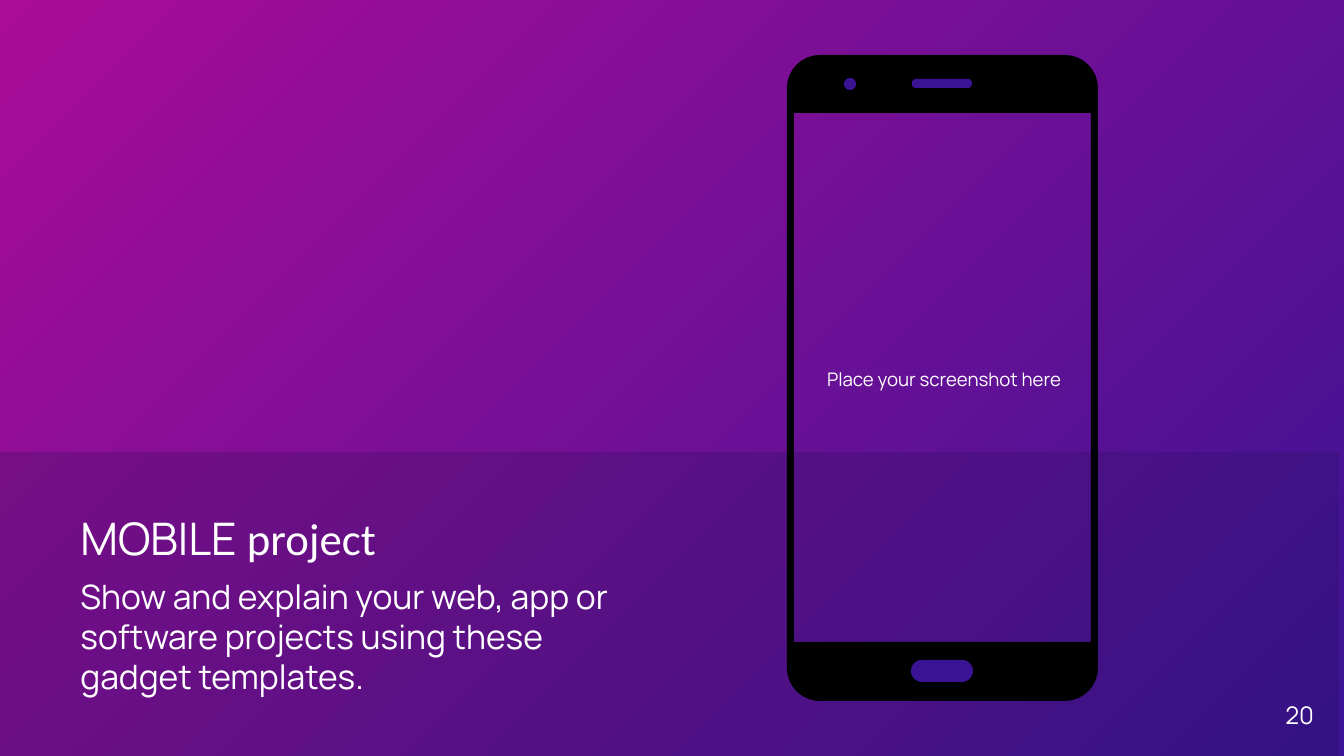
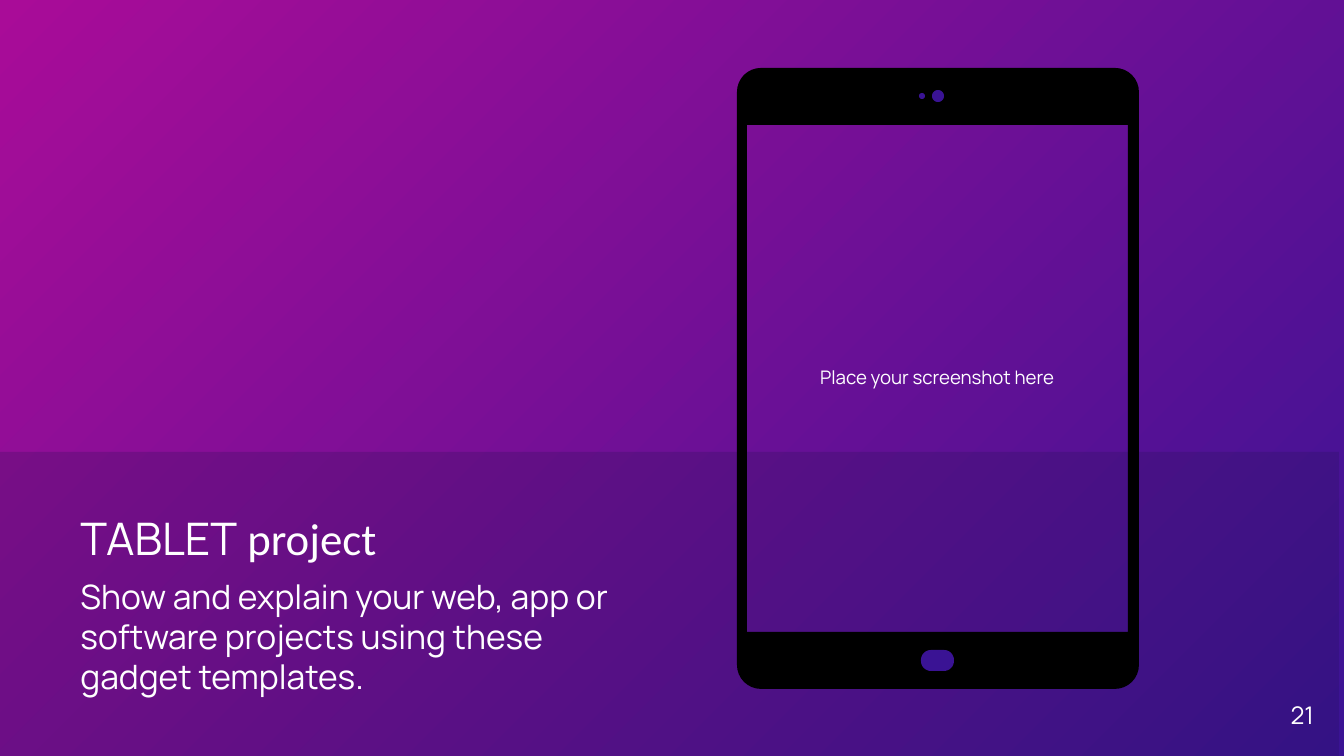
from math import cos, pi, sin

from lxml.etree import SubElement
from pptx import Presentation
from pptx.dml.color import RGBColor
from pptx.enum.shapes import MSO_SHAPE
from pptx.enum.text import MSO_ANCHOR as ANCHOR, MSO_AUTO_SIZE, PP_ALIGN as ALIGN
from pptx.oxml.ns import qn
from pptx.util import Pt

PX = 914400 / 134.4
MAGENTA = RGBColor(0xA9, 0x0C, 0x98)
VIOLET = RGBColor(0x3A, 0x13, 0x94)
NAVY = RGBColor(0x20, 0x12, 0x4D)
BLACK = RGBColor(0, 0, 0)
WHITE = RGBColor(0xFF, 0xFF, 0xFF)
FONT, ACCENT_FONT = "Manrope", "Calibri"

# Boxes are (left, top, width, height) in px
SLIDE_W, SLIDE_H = 1344, 756
BAND = (0, 452, 1339, 304)
BODY = (67, 497, 604, 227)
NUMBER = (1246, 687, 81, 58)
DESCRIPTION = ("Show and explain your web, app or software projects "
               "using these gadget templates.")
PROMPT = "Place your screenshot here"

# Each detail is a box and its corner radius
SLIDES = [
    dict(name="MOBILE", number="20", label=(796, 116, 296, 526),
         case=(787, 55, 311, 646), radius=33, screen=(794, 113, 297, 529),
         details=[((911, 660, 62, 22), 11),    # home button
                  ((844, 78, 12, 12), 6),      # camera
                  ((912, 79, 60, 9), 4)]),     # speaker
    dict(name="TABLET", number="21", label=(746, 125, 382, 505),
         case=(737, 68, 402, 621), radius=24, screen=(747, 125, 381, 507),
         details=[((921, 650, 33, 21), 10),    # home button
                  ((919, 93, 6, 6), 3),        # sensor
                  ((932, 90, 12, 12), 6)]),    # camera
]


def emu(values):
    return [round(v * PX) for v in values]


def place(sp, box):
    sp.left, sp.top, sp.width, sp.height = emu(box)


def write(p, text, size, font=FONT, align=None, before=None):
    """Add a formatted run to paragraph p."""
    r = p.add_run()
    r.text = text
    r.font.size, r.font.name, r.font.color.rgb = Pt(size), font, WHITE
    if align is not None:
        p.alignment = align
    if before is not None:
        p.space_before = Pt(before)


def set_frame(tf, anchor=ANCHOR.TOP):
    tf.word_wrap = True
    tf.auto_size = MSO_AUTO_SIZE.NONE
    tf.vertical_anchor = anchor
    tf.margin_left = tf.margin_right = tf.margin_top = tf.margin_bottom = Pt(7.2)


def add_text(s, box, text, size, align, anchor=ANCHOR.TOP):
    tf = s.shapes.add_textbox(*emu(box)).text_frame
    set_frame(tf, anchor)
    write(tf.paragraphs[0], text, size, align=align)


def rounded(box, radius, steps=8):
    """Points of a rounded rectangle, clockwise from the left side."""
    x, y, w, h = box
    centres = [(x + radius, y + radius), (x + w - radius, y + radius),
               (x + w - radius, y + h - radius), (x + radius, y + h - radius)]
    return [emu((cx + radius * cos(a), cy + radius * sin(a)))
            for corner, (cx, cy) in enumerate(centres)
            for a in (pi + (corner + i / steps) * pi / 2
                      for i in range(steps + 1))]


def add_outline(shapes, box, radius, color, hole=None):
    start, *rest = rounded(box, radius)
    fb = shapes.build_freeform(*start)
    fb.add_line_segments(rest)
    if hole:
        x, y, w, h = hole
        corners = [emu(c) for c in ((x, y), (x, y + h), (x + w, y + h), (x + w, y))]
        fb.move_to(*corners[0])
        fb.add_line_segments(corners[1:])
    finish(fb.convert_to_shape(), color)


def finish(sp, color):
    sp.shadow.inherit = False
    sp.fill.solid()
    sp.fill.fore_color.rgb = color
    sp.line.fill.background()


def add_background(s):
    fill = s.background.fill
    fill.gradient()
    fill.gradient_angle = 315
    for stop, color, position in zip(fill.gradient_stops, (MAGENTA, VIOLET), (0, 1)):
        stop.color.rgb, stop.position = color, position
    band = s.shapes.add_shape(MSO_SHAPE.RECTANGLE, *emu(BAND))
    finish(band, NAVY)
    SubElement(band.element.find(".//" + qn("a:srgbClr")), qn("a:alpha"), val="22000")
    s.shapes.element.insert(2, band.element)  # behind the placeholder


def add_body(s, name):
    title = s.shapes.title.element
    title.getparent().remove(title)
    body = s.placeholders[1]
    place(body, BODY)
    tf = body.text_frame
    set_frame(tf)
    heading, description = tf.paragraphs[0], tf.add_paragraph()
    write(heading, name, 24, before=6)
    write(heading, " project", 24, font=ACCENT_FONT)
    write(description, DESCRIPTION, 18, before=6)
    for p in tf.paragraphs:
        p.alignment = ALIGN.LEFT
        pPr = p._p.get_or_add_pPr()
        pPr.set("marL", "0")
        pPr.set("indent", "0")
        SubElement(pPr, qn("a:buNone"))


def add_device(s, device):
    shapes = s.shapes.add_group_shape().shapes
    add_outline(shapes, device["case"], device["radius"], BLACK, device["screen"])
    for box, radius in device["details"]:
        add_outline(shapes, box, radius, VIOLET)


def main():
    prs = Presentation()
    prs.slide_width, prs.slide_height = emu((SLIDE_W, SLIDE_H))
    for device in SLIDES:
        s = prs.slides.add_slide(prs.slide_layouts[1])
        add_background(s)
        add_body(s, device["name"])
        add_text(s, NUMBER, device["number"], 13, ALIGN.RIGHT)
        add_text(s, device["label"], PROMPT, 10, ALIGN.CENTER, ANCHOR.MIDDLE)
        add_device(s, device)
    prs.save("out.pptx")


if __name__ == "__main__":
    main()
